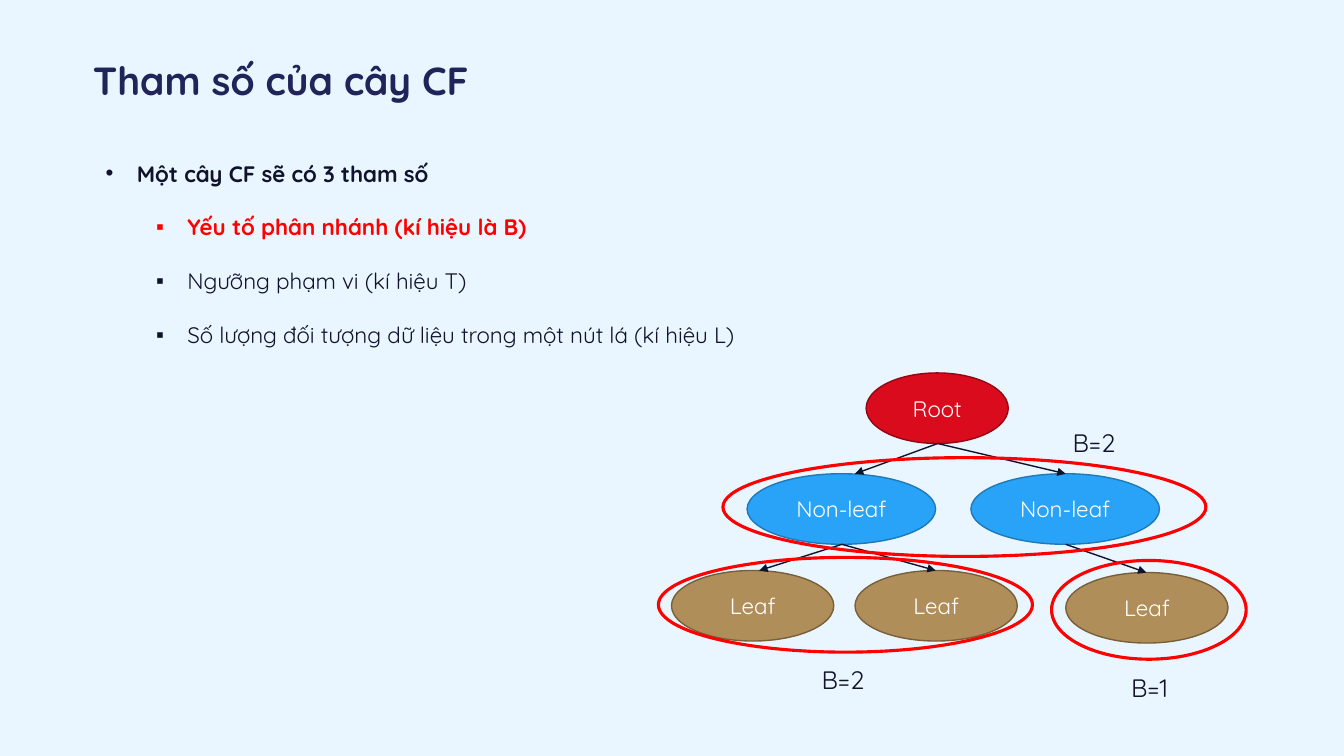
from pptx import Presentation
from pptx.dml.color import RGBColor
from pptx.enum.shapes import MSO_CONNECTOR, MSO_SHAPE
from pptx.enum.text import MSO_ANCHOR, MSO_AUTO_SIZE, PP_ALIGN
from pptx.oxml.ns import qn
from pptx.util import Inches, Pt
from lxml.etree import SubElement

FONT = "Quicksand"
COLORS = {"bg": "EAF6FF", "title": "212459", "text": "10132B",
          "red": "FF0000", "white": "FFFFFF"}

TITLE = "Tham số của cây CF"
# text, level, colour, bold
BULLETS = [
    ("Một cây CF sẽ có 3 tham số", 0, "text", True),
    ("Yếu tố phân nhánh (kí hiệu là B)", 1, "red", True),
    ("Ngưỡng phạm vi (kí hiệu T)", 1, "text", False),
    ("Số lượng đối tượng dữ liệu trong một nút lá (kí hiệu L)", 1, "text", False),
]
BULLET_STYLES = [("•", 0.31), ("▪", 0.81)]  # character, left margin

# Tree levels: label, fill, line, node width, (left, top) of each node
NODE_H = 0.7
LEVELS = [
    ("Root", "DA0B1C", "910713", 1.41, [(8.59, 3.7)]),
    ("Non-leaf", "29A3F7", "1E79B7", 1.87, [(7.41, 4.7), (9.63, 4.7)]),
    ("Leaf", "AF8E5A", "775F3A", 1.61, [(6.66, 5.66), (8.48, 5.66), (10.57, 5.68)]),
]
# Start point and the end points of its branches
BRANCHES = [
    ((9.3, 4.4), [(8.48, 4.7), (10.57, 4.7)]),
    ((10.57, 5.4), [(11.37, 5.68)]),
    ((8.35, 5.4), [(7.53, 5.66), (9.28, 5.66)]),
]
RINGS = [(6.53, 5.53, 3.71, 0.94), (10.43, 5.56, 1.93, 0.98), (7.17, 4.54, 4.79, 0.98)]
COUNTS = [("B=2", 10.54, 4.19), ("B=2", 8.05, 6.54), ("B=1", 11.12, 6.62)]


def rgb(color):
    return RGBColor.from_string(COLORS.get(color, color))


def style(p, size, color, bold=False):
    for r in p.runs:
        r.font.name = FONT
        r.font.size = Pt(size)
        r.font.bold = bold
        r.font.color.rgb = rgb(color)


def add_text(s, x, y, w, h):
    tf = s.shapes.add_textbox(*map(Inches, (x, y, w, h))).text_frame
    tf.word_wrap = True
    return tf


def add_ellipse(s, box, line, width, fill=None):
    sp = s.shapes.add_shape(MSO_SHAPE.OVAL, *map(Inches, box))
    sp.shadow.inherit = False
    if fill:
        sp.fill.solid()
        sp.fill.fore_color.rgb = rgb(fill)
    else:
        sp.fill.background()
    sp.line.color.rgb = rgb(line)
    sp.line.width = Pt(width)
    return sp


def add_arrow(s, start, end):
    c = s.shapes.add_connector(MSO_CONNECTOR.STRAIGHT, *map(Inches, start + end))
    c.line.color.rgb = rgb("text")
    c.line.width = Pt(1)
    SubElement(c.line._get_or_add_ln(), qn("a:tailEnd"), type="triangle")
    SubElement(c._element.spPr, qn("a:effectLst"))


def add_bullet(p, text, level, color, bold):
    char, margin = BULLET_STYLES[level]
    p.text = text
    p.level = level
    p.line_spacing = 2.0
    pPr = p._p.get_or_add_pPr()
    pPr.set("marL", str(Inches(margin)))
    pPr.set("indent", str(Inches(-0.31)))
    SubElement(pPr, qn("a:buFont"), typeface="Arial")
    SubElement(pPr, qn("a:buChar"), char=char)
    style(p, 16, color, bold)


prs = Presentation()
prs.slide_width, prs.slide_height = Inches(13.33), Inches(7.5)
s = prs.slides.add_slide(prs.slide_layouts[5])
s.background.fill.solid()
s.background.fill.fore_color.rgb = rgb("bg")

# Title
title = s.shapes.title
title.left, title.top, title.width, title.height = map(Inches, (0.82, 0.51, 12.51, 0.57))
tf = title.text_frame
tf.text = TITLE
tf.auto_size = MSO_AUTO_SIZE.NONE
tf.vertical_anchor = MSO_ANCHOR.TOP
tf.paragraphs[0].alignment = PP_ALIGN.LEFT
style(tf.paragraphs[0], 28, "title", True)

# Bullet list
tf = add_text(s, 0.95, 1.27, 6.71, 2.19)
for i, bullet in enumerate(BULLETS):
    add_bullet(tf.add_paragraph() if i else tf.paragraphs[0], *bullet)

# Tree nodes
for label, fill, line, width, places in LEVELS:
    for x, y in places:
        tf = add_ellipse(s, (x, y, width, NODE_H), line, 1, fill).text_frame
        tf.text = label
        tf.vertical_anchor = MSO_ANCHOR.MIDDLE
        tf.paragraphs[0].alignment = PP_ALIGN.CENTER
        style(tf.paragraphs[0], 16, "white")

# Branches
for start, ends in BRANCHES:
    for end in ends:
        add_arrow(s, start, end)

# Rings around sibling nodes and their counts
for box in RINGS:
    add_ellipse(s, box, "red", 2.25)
for label, x, y in COUNTS:
    tf = add_text(s, x, y, 0.84, 0.4)
    tf.text = label
    style(tf.paragraphs[0], 18, "text")

prs.save("out.pptx")
